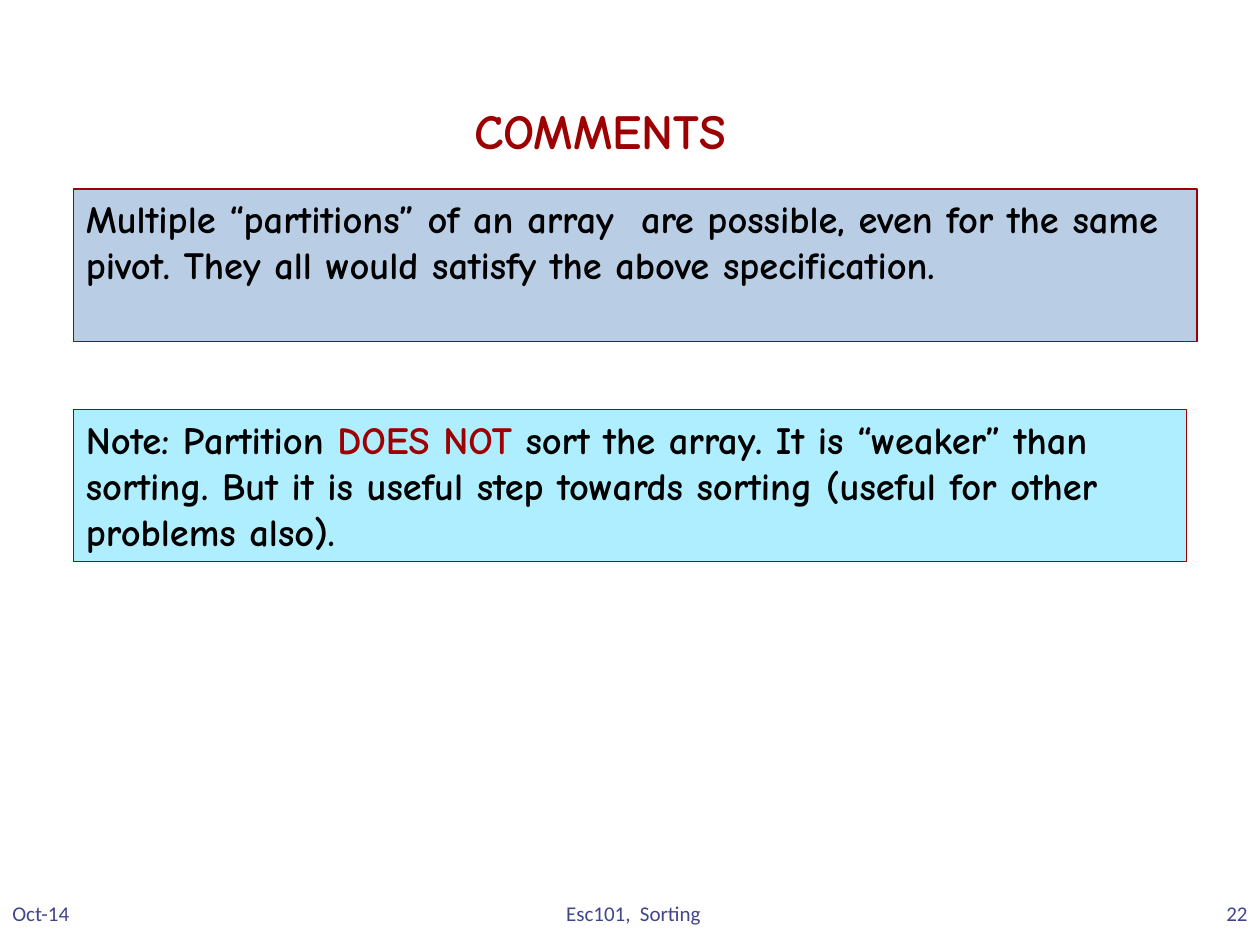
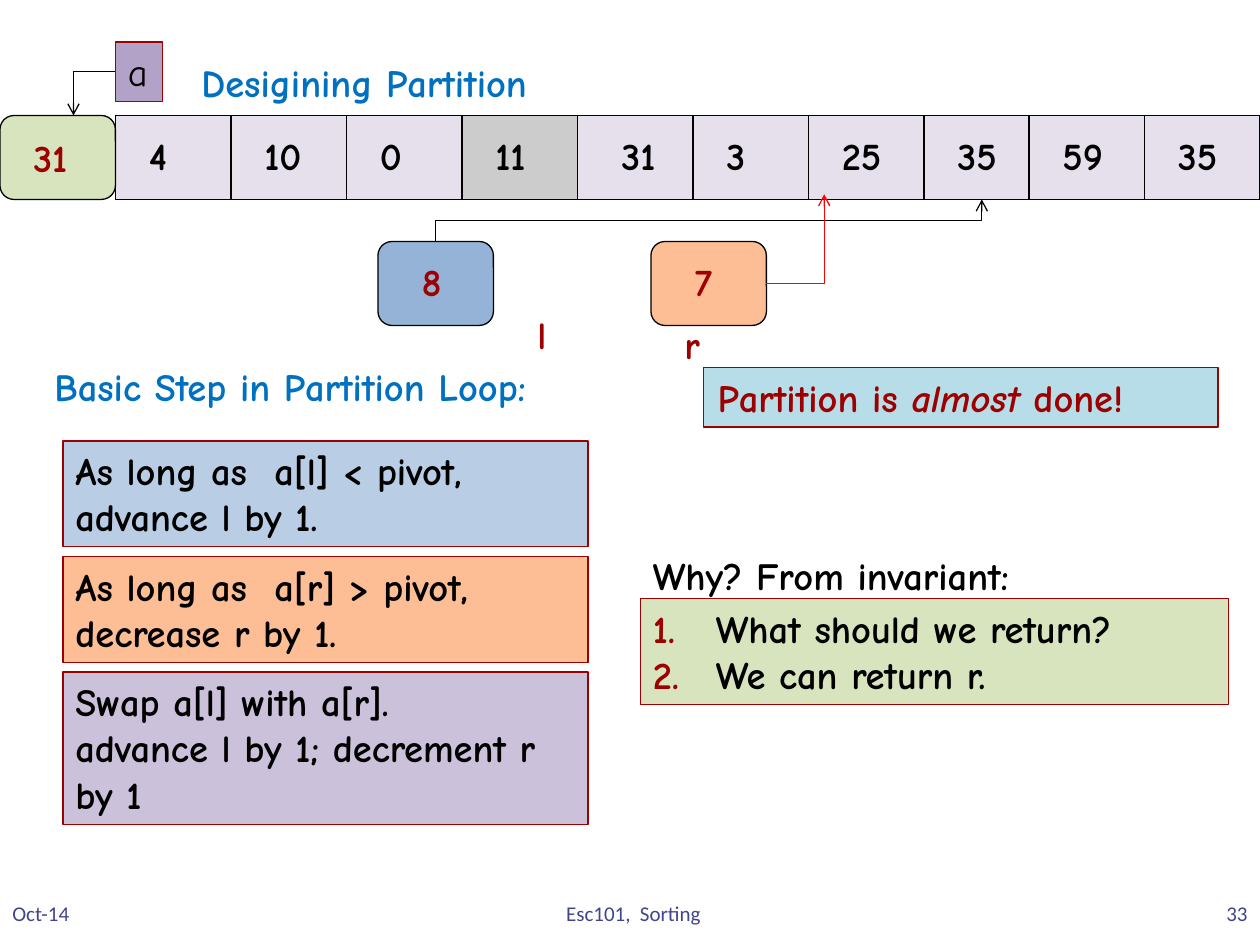
import dataclasses
import typing

import lxml.etree
import pptx
import pptx.dml.color
import pptx.enum.shapes
import pptx.enum.text
import pptx.oxml.ns
import pptx.util

Pt = pptx.util.Pt
qn = pptx.oxml.ns.qn
ALIGN = pptx.enum.text.PP_ALIGN
ANCHOR = pptx.enum.text.MSO_ANCHOR
AUTO = pptx.enum.text.MSO_AUTO_SIZE
PRESET = pptx.enum.shapes.MSO_SHAPE


# Theme shared by both slides
@dataclasses.dataclass(frozen=True)
class Theme:
    font: str = "Comic Neue"
    footer_font: str = "Calibri"
    title: float = 28
    body: float = 22
    footer: float = 12
    line: float = 0.75
    ink: str = "000000"
    red: str = "9D0000"
    blue: str = "0070C0"
    navy: str = "40458C"
    arrow_red: str = "FF0000"
    sky: str = "B9CDE5"
    cyan: str = "AFEEFF"
    aqua: str = "B7DEE8"
    orange: str = "FDBD95"
    lilac: str = "CCC1DA"
    purple: str = "B3A2C7"
    green: str = "D7E4BD"
    steel: str = "95B3D7"
    cell: str = "E6E0EC"
    pivot: str = "CCCCCC"


T = Theme()


class Run(typing.NamedTuple):
    text: str
    color: str = T.ink
    italic: bool = False
    bold: bool = True
    size: float = T.body
    font: str = T.font


class Box(typing.NamedTuple):
    x: float
    y: float
    w: float
    h: float


@dataclasses.dataclass
class Panel:
    box: Box
    fill: str
    paras: list[list[Run]] = dataclasses.field(default_factory=list)
    line: str = T.red
    kind: int = PRESET.RECTANGLE
    wrap: bool = True
    numbered: bool = False


@dataclasses.dataclass
class Label:
    box: Box
    runs: list[Run]
    wrap: bool = False
    align: int = ALIGN.LEFT
    anchor: int = ANCHOR.TOP
    auto: int = AUTO.SHAPE_TO_FIT_TEXT


@dataclasses.dataclass
class Elbow:
    box: Box
    preset: str
    xfrm: dict[str, str]
    color: str = T.ink


def rgb(value: str) -> pptx.dml.color.RGBColor:
    return pptx.dml.color.RGBColor.from_string(value)


def apply(target: typing.Any, values: dict[str, typing.Any]) -> None:
    for name, value in values.items():
        setattr(target, name, value)


def write(tf, paras: list[list[Run]], align: int = ALIGN.LEFT) -> None:
    for i, runs in enumerate(paras):
        p = tf.add_paragraph() if i else tf.paragraphs[0]
        p.alignment = align
        for run in runs:
            r = p.add_run()
            r.text = run.text
            apply(r.font, {"name": run.font, "size": Pt(run.size),
                           "bold": run.bold, "italic": run.italic})
            r.font.color.rgb = rgb(run.color)


def number(p) -> None:
    pPr = p._p.get_or_add_pPr()
    pPr.set("marL", str(Pt(36)))
    pPr.set("indent", str(-Pt(36)))
    clr = lxml.etree.SubElement(pPr, qn("a:buClr"))
    lxml.etree.SubElement(clr, qn("a:srgbClr"), val=T.red)
    lxml.etree.SubElement(pPr, qn("a:buFont"), typeface=T.font)
    lxml.etree.SubElement(pPr, qn("a:buAutoNum"), type="arabicPeriod")


def draw_panel(s, panel: Panel) -> None:
    sp = s.shapes.add_shape(panel.kind, *map(Pt, panel.box))
    sp.shadow.inherit = False
    sp.fill.solid()
    sp.fill.fore_color.rgb = rgb(panel.fill)
    sp.line.color.rgb = rgb(panel.line)
    sp.line.width = Pt(T.line)
    tf = sp.text_frame
    apply(tf, {"word_wrap": panel.wrap, "auto_size": AUTO.NONE,
               "vertical_anchor": ANCHOR.TOP})
    write(tf, panel.paras)
    if panel.numbered:
        for p in tf.paragraphs:
            number(p)


def draw_label(s, label: Label) -> None:
    tf = s.shapes.add_textbox(*map(Pt, label.box)).text_frame
    apply(tf, {"word_wrap": label.wrap, "auto_size": label.auto,
               "vertical_anchor": label.anchor})
    write(tf, [label.runs], label.align)


def draw_elbow(s, elbow: Elbow) -> None:
    x, y, w, h = elbow.box
    sp = s.shapes.add_connector(pptx.enum.shapes.MSO_CONNECTOR.ELBOW,
                                Pt(x), Pt(y), Pt(x + w), Pt(y + h))
    sp.line.color.rgb = rgb(elbow.color)
    sp.line.width = Pt(T.line)
    spPr = sp._element.spPr
    spPr.find(qn("a:prstGeom")).set("prst", elbow.preset)
    for name, value in elbow.xfrm.items():
        spPr.find(qn("a:xfrm")).set(name, value)
    lxml.etree.SubElement(spPr.find(qn("a:ln")), qn("a:tailEnd"), type="arrow")
    lxml.etree.SubElement(spPr, qn("a:effectLst"))


DRAW = {Panel: draw_panel, Label: draw_label, Elbow: draw_elbow}


def draw(s, items: list) -> None:
    for item in items:
        DRAW[type(item)](s, item)


def text_label(x: float, y: float, w: float, text: str, color: str) -> Label:
    return Label(Box(x, y, w, 34), [Run(text, color)])


def digits(x: float, y: float, text: str, color: str = T.ink) -> Label:
    return text_label(x, y, 28 if len(text) == 1 else 42, text, color)


def draw_footer(s, page: str) -> None:
    for x, w, text, align in ((0, 150, "Oct-14", ALIGN.LEFT),
                              (232, 260, "Esc101,  Sorting", ALIGN.CENTER),
                              (570, 150, page, ALIGN.RIGHT)):
        run = Run(text, T.navy, bold=False, size=T.footer, font=T.footer_font)
        draw_label(s, Label(Box(x, 504, w, 36), [run], True, align,
                            ANCHOR.MIDDLE, AUTO.NONE))


# Slide 1: comments on partitions
def comments_slide(s) -> None:
    draw(s, [
        Panel(Box(42, 108, 642, 87), T.sky, [[Run(
            "Multiple “partitions” of an array  are possible, even for the "
            "same pivot. They all would satisfy the above specification.")]]),
        Panel(Box(42, 234, 636, 87), T.cyan, [[
            Run("Note: Partition "), Run("DOES NOT ", T.red),
            Run("sort the array. It is “weaker” than sorting. But it is useful "
                "step towards sorting (useful for other problems also).")]]),
        Label(Box(264, 54, 184, 41), [Run("COMMENTS", T.red, size=T.title)]),
    ])
    draw_footer(s, "22")


# Slide 2: array, index markers and loop steps
CELL_W, CELL_H, ARRAY_Y = 66, 48, 66
VALUES = ("4", "10", "0", "11", "31", "3", "25", "35", "59", "35")
PIVOT_INDEX, WIDE_INDEX = 3, 4


def draw_array(s) -> None:
    cells, numbers = [], []
    for i, value in enumerate(VALUES):
        # The last two cells overlap their neighbours to fit the slide
        x = CELL_W * (i + 1) - (6 if i >= len(VALUES) - 2 else 0)
        fill = T.pivot if i == PIVOT_INDEX else T.cell
        cells.append(Panel(Box(x, ARRAY_Y, CELL_W, CELL_H), fill, line=T.ink))
        numbers.append(digits(x + (18 if i == WIDE_INDEX else 12), 72, value))
    draw(s, cells + numbers)


def draw_markers(s) -> None:
    for x, y, fill, text, text_x, text_y in (
            (0, ARRAY_Y, T.green, "31", 12, 73),
            (216, 138, T.steel, "8", 234, 144),
            (372, 138, T.orange, "7", 390, 144)):
        draw(s, [Panel(Box(x, y, CELL_W, CELL_H), fill, line=T.ink,
                       kind=PRESET.ROUNDED_RECTANGLE),
                 digits(text_x, text_y, text, T.red)])
    draw(s, [
        Panel(Box(66, 24, 27, 34), T.purple, [[Run("a", bold=False)]], wrap=False),
        Elbow(Box(393, -30, 24, 312), "bentConnector3",
              {"rot": "5400000", "flipH": "1", "flipV": "1"}),
        Elbow(Box(438, 111, 33, 51), "bentConnector2", {"flipV": "1"}, T.arrow_red),
        Elbow(Box(42, 41, 24, 25), "bentConnector2",
              {"rot": "10800000", "flipV": "1"}),
    ])


def partition_slide(s) -> None:
    steps = (
        (252, 60.5, T.sky, ["As long as  a[l] < pivot, advance l by 1."]),
        (318, 60.5, T.orange, ["As long as  a[r] > pivot, decrease r by 1."]),
        (384, 87, T.lilac, ["Swap a[l] with a[r].",
                            "advance l by 1; decrement r by 1"]),
    )
    draw(s, [Panel(Box(36, y, 300, h), fill, [[Run(line)] for line in lines])
             for y, h, fill, lines in steps])
    draw(s, [
        text_label(384, 180, 25, "r", T.red),
        Label(Box(300, 174, 14.4, 34), [Run("l", T.red)], wrap=True),
        text_label(108, 30, 220, "Desigining Partition", T.blue),
        text_label(24, 204, 334, "Basic Step in Partition Loop:", T.blue),
        Panel(Box(402, 210, 294, 34), T.aqua),
        Label(Box(403, 210, 275, 34), [Run("Partition is ", T.red),
                                       Run("almost ", T.red, italic=True),
                                       Run("done!", T.red)]),
        Panel(Box(366, 342, 336, 60.5), T.green,
              [[Run("What should we return?")], [Run("We can return r.")]],
              numbered=True),
        text_label(366, 312, 250, "Why? From invariant:", T.ink),
    ])
    draw_array(s)
    draw_markers(s)
    draw_footer(s, "33")


def main() -> None:
    prs = pptx.Presentation()
    apply(prs, {"slide_width": Pt(720), "slide_height": Pt(540)})
    for build in (comments_slide, partition_slide):
        build(prs.slides.add_slide(prs.slide_layouts[6]))
    prs.save("out.pptx")


if __name__ == "__main__":
    main()
